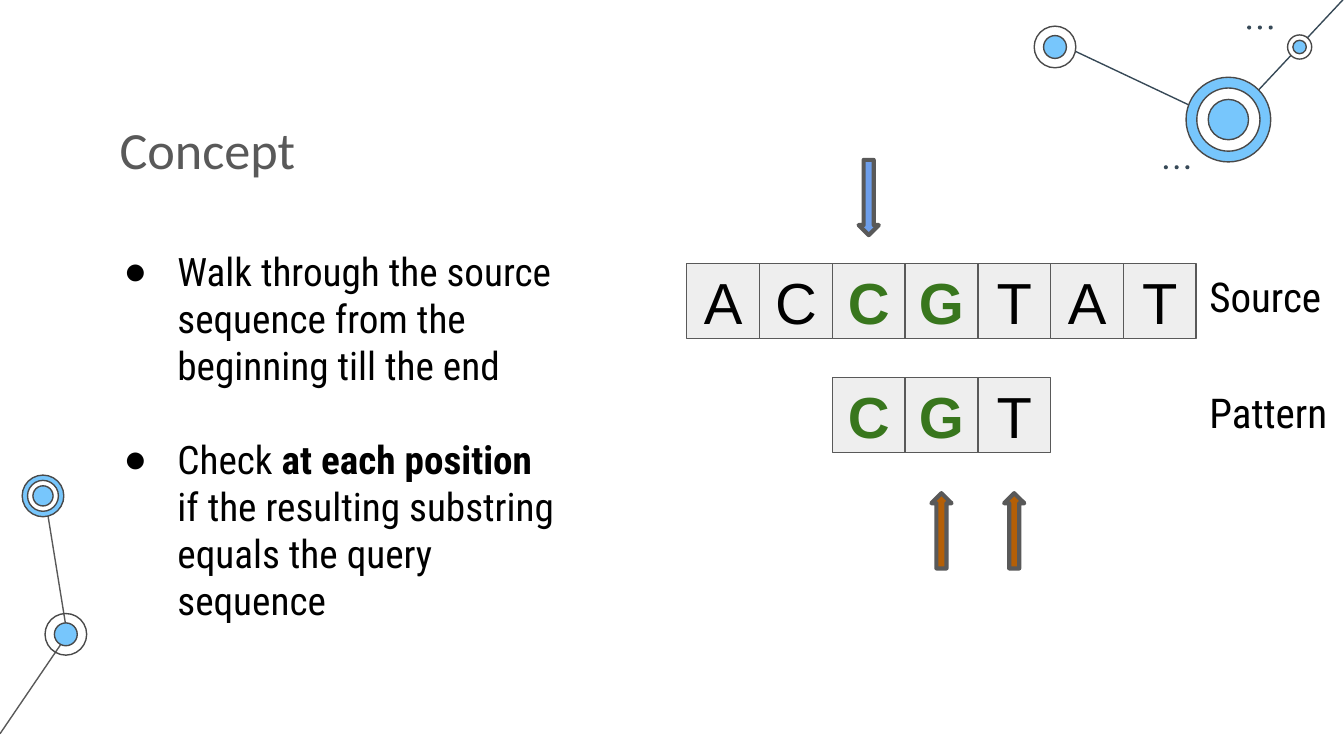
import pptx
import pptx.dml.color
import pptx.enum.shapes
import pptx.enum.text
import pptx.oxml
import pptx.oxml.ns
import pptx.util

Inches = pptx.util.Inches
Pt = pptx.util.Pt
RGBColor = pptx.dml.color.RGBColor
SHAPE = pptx.enum.shapes.MSO_SHAPE
ALIGN = pptx.enum.text.PP_ALIGN
ANCHOR = pptx.enum.text.MSO_ANCHOR

BLACK = RGBColor(0x00, 0x00, 0x00)
WHITE = RGBColor(0xFF, 0xFF, 0xFF)
GRAY = RGBColor(0x59, 0x59, 0x59)
CELL_GRAY = RGBColor(0xEE, 0xEE, 0xEE)
RING_GRAY = RGBColor(0x49, 0x49, 0x49)
SLATE = RGBColor(0x37, 0x49, 0x57)
SKY = RGBColor(0x77, 0xC6, 0xFC)
ARROW_BLUE = RGBColor(0x6D, 0x9E, 0xEB)
ARROW_BROWN = RGBColor(0xB4, 0x5F, 0x06)
MATCH_GREEN = RGBColor(0x38, 0x76, 0x1D)

presentation = pptx.Presentation()
presentation.slide_width = Inches(10)
presentation.slide_height = Inches(10 * 9 / 16)
slide = presentation.slides.add_slide(presentation.slide_layouts[1])


def write(shape, *paragraphs, font="Roboto Condensed", size=22, color=BLACK,
          bold=False, align=ALIGN.LEFT, anchor=ANCHOR.TOP):
    """Fill the shape with paragraphs; a list is a paragraph of (text, bold) runs."""
    frame = shape.text_frame
    frame.word_wrap = True
    frame.auto_size = pptx.enum.text.MSO_AUTO_SIZE.NONE
    frame.vertical_anchor = anchor
    frame.margin_left = frame.margin_right = Inches(0.1)
    frame.margin_top = frame.margin_bottom = Inches(0.1)
    for index, content in enumerate(paragraphs):
        paragraph = frame.add_paragraph() if index else frame.paragraphs[0]
        paragraph.alignment = align
        paragraph.space_before = Pt(0)
        runs = [(content, bold)] if isinstance(content, str) else content
        for text, run_bold in runs:
            run = paragraph.add_run()
            run.text = text
            run.font.name = font
            run.font.size = Pt(size)
            run.font.bold = run_bold
            run.font.color.rgb = color


def add_filled_shape(kind, left, top, width, height, fill, line=None, weight=0.75):
    shape = slide.shapes.add_shape(
        kind, Inches(left), Inches(top), Inches(width), Inches(height))
    shape.shadow.inherit = False
    if fill is None:
        shape.fill.background()
    else:
        shape.fill.solid()
        shape.fill.fore_color.rgb = fill
    if line is None:
        shape.line.fill.background()
    else:
        shape.line.color.rgb = line
        shape.line.width = Pt(weight)
    return shape


# Corner networks: links first, then rings on top
links = [
    (0.5, 4.72, 0.33, 3.67, GRAY),
    (0, 5.46, 0.49, 4.74, GRAY),
    (9.14, 0.92, 7.87, 0.32, SLATE),
    (10, -0.01, 9.14, 0.91, SLATE),
]
for start_x, start_y, end_x, end_y, color in links:
    link = slide.shapes.add_connector(
        pptx.enum.shapes.MSO_CONNECTOR.STRAIGHT,
        Inches(start_x), Inches(start_y), Inches(end_x), Inches(end_y))
    link.line.color.rgb = color
    link.line.width = Pt(0.75)
    link._element.spPr.append(pptx.oxml.parse_xml(
        f"<a:effectLst {pptx.oxml.ns.nsdecls('a')}/>"))

# Each node: centre, then (diameter, fill) from outside in
nodes = [
    (0.49, 4.72, [(0.31, None), (0.17, SKY)]),
    (0.32, 3.69, [(0.31, SKY), (0.23, WHITE), (0.15, SKY)]),
    (9.14, 0.89, [(0.63, SKY), (0.47, WHITE), (0.3, SKY)]),
    (7.85, 0.35, [(0.31, WHITE), (0.17, SKY)]),
    (9.67, 0.35, [(0.18, WHITE), (0.1, SKY)]),
]
for center_x, center_y, rings in nodes:
    for diameter, fill in rings:
        add_filled_shape(SHAPE.OVAL, center_x - diameter / 2, center_y - diameter / 2,
                         diameter, diameter, fill, RING_GRAY)

for dots_left, dots_top in [(9.28, 0.19), (8.66, 1.23)]:
    for index in range(3):
        add_filled_shape(SHAPE.OVAL, dots_left + index * 0.08, dots_top,
                         0.03, 0.03, SLATE)

# Title and list
title = slide.shapes.title
title.left, title.top = Inches(0.79), Inches(0.77)
title.width, title.height = Inches(4.47), Inches(0.63)
write(title, "Concept", font="Calibri", size=28, color=GRAY)

body = slide.placeholders[1]
body.left, body.top = Inches(0.72), Inches(1.74)
body.width, body.height = Inches(3.52), Inches(3.04)
write(
    body,
    "Walk through the source sequence from the beginning till the end",
    [("Check ", False), ("at each position", True),
     (" if the resulting substring equals the query sequence", False)],
    size=21,
)
for paragraph in body.text_frame.paragraphs:
    paragraph.line_spacing = 1.0
    properties = paragraph._p.get_or_add_pPr()
    properties.set("marL", str(Inches(0.5)))
    properties.set("indent", str(-Inches(0.4)))
    for bullet in ('<a:buClr {}><a:srgbClr val="000000"/></a:buClr>',
                   '<a:buFont {} typeface="Arial"/>',
                   '<a:buChar {} char="●"/>'):
        properties.append(pptx.oxml.parse_xml(
            bullet.format(pptx.oxml.ns.nsdecls("a"))))
body.text_frame.paragraphs[1].space_before = Pt(25)

# Sequences on a shared column grid; the pattern starts at column 2
GRID_LEFT, GRID_RIGHT, CELL_HEIGHT = 5.11, 8.9, 0.56
CELL_WIDTH = (GRID_RIGHT - GRID_LEFT) / 7
sequences = [
    ("ACCGTAT", 0, 1.96, "Source", 1.92, 1.04),
    ("CGT", 2, 2.81, "Pattern", 2.78, 1.39),
]
for bases, first_column, top, label, label_top, label_width in sequences:
    for column, base in enumerate(bases, first_column):
        matched = column in (2, 3)
        cell = add_filled_shape(SHAPE.RECTANGLE, GRID_LEFT + column * CELL_WIDTH, top,
                                CELL_WIDTH, CELL_HEIGHT, CELL_GRAY, GRAY)
        write(cell, base, font="Arial", size=31, bold=matched,
              color=MATCH_GREEN if matched else BLACK,
              align=ALIGN.CENTER, anchor=ANCHOR.MIDDLE)
    label_box = slide.shapes.add_textbox(
        Inches(GRID_RIGHT), Inches(label_top), Inches(label_width), Inches(0.63))
    write(label_box, label)

# Arrows centred on their columns
ARROW_WIDTH = 0.15
arrows = [
    (SHAPE.DOWN_ARROW, 2, 1.19, ARROW_BLUE),
    (SHAPE.UP_ARROW, 3, 3.67, ARROW_BROWN),
    (SHAPE.UP_ARROW, 4, 3.67, ARROW_BROWN),
]
for kind, column, top, fill in arrows:
    left = GRID_LEFT + (column + 0.5) * CELL_WIDTH - ARROW_WIDTH / 2
    add_filled_shape(kind, left, top, ARROW_WIDTH, 0.56, fill, GRAY, 2.25)

presentation.save("out.pptx")
